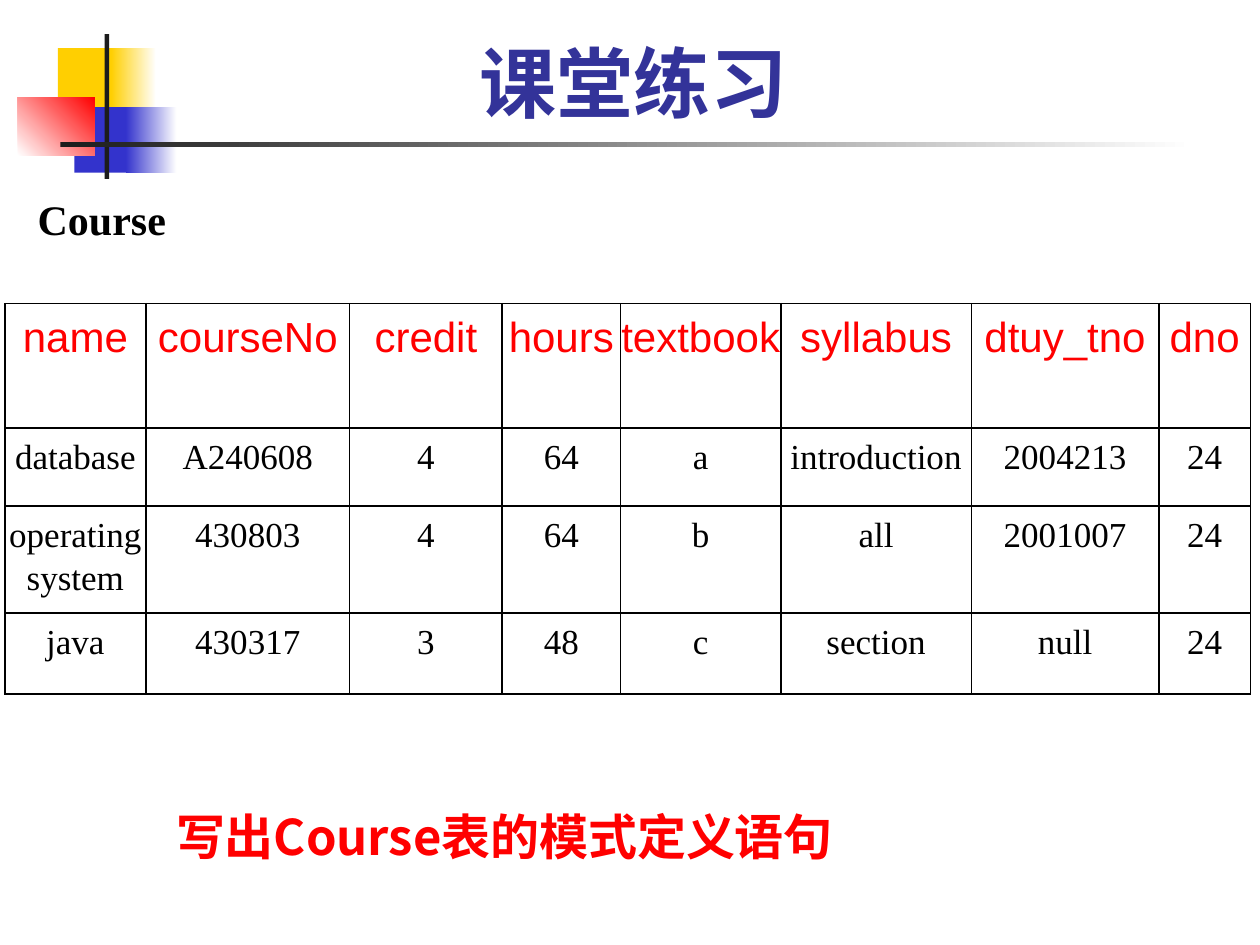
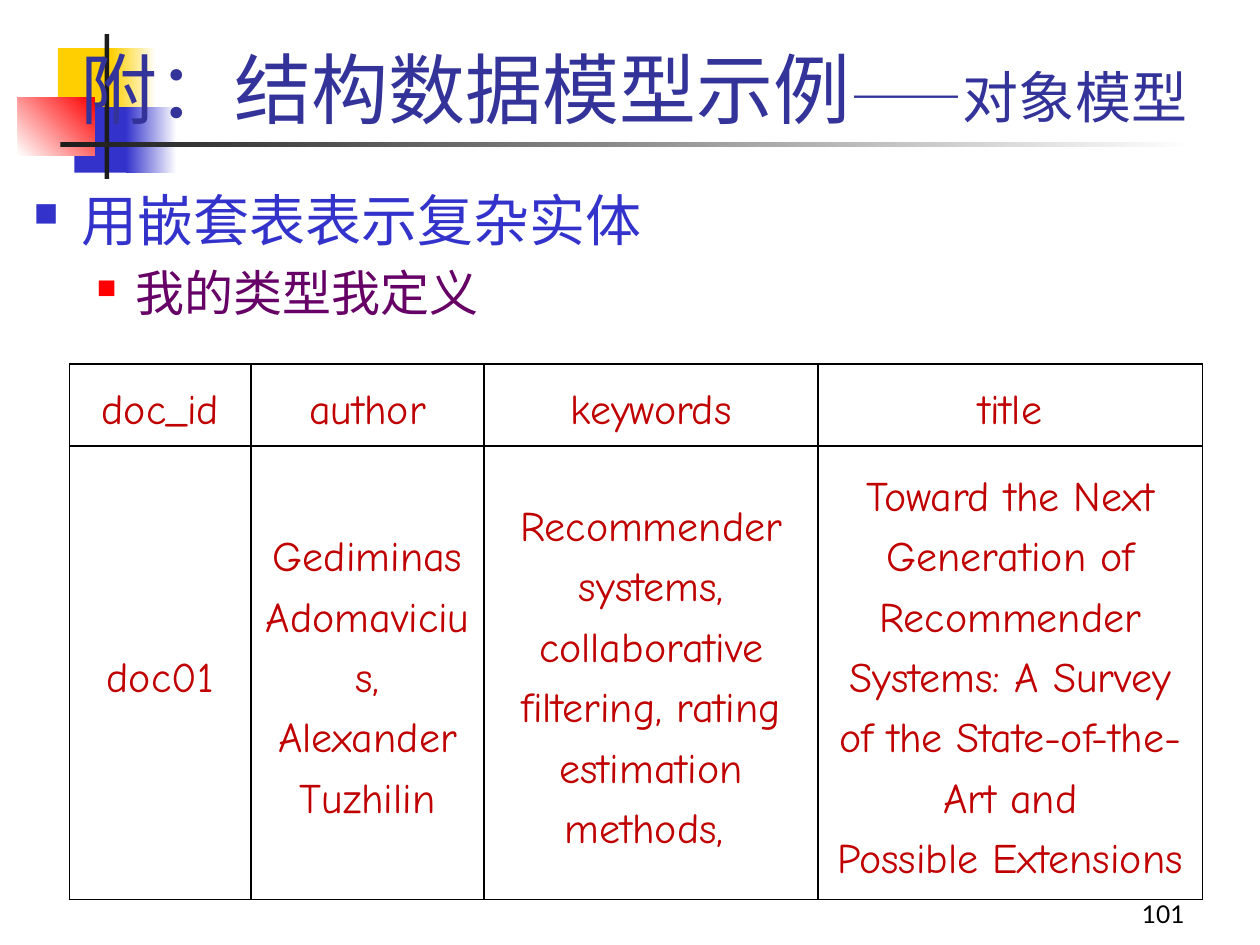
from lxml import etree
from pptx import Presentation
from pptx import util as u
from pptx.dml import color
from pptx.enum import shapes, text
from pptx.oxml import ns

INK, BLUE, RED, GOLD, WHITE = "1C1C1C", "3333CC", "FF0000", "FFCF01", "FFFFFF"
NAVY, PLUM, BRICK, BLACK = "333399", "660066", "C00000", "000000"
HAN, LATO, TIMES = "Noto Sans CJK SC", "Lato", "Times New Roman"
LEFT, MID, RIGHT = text.PP_ALIGN.LEFT, text.PP_ALIGN.CENTER, text.PP_ALIGN.RIGHT
JUST = text.PP_ALIGN.JUSTIFY
TOP, HALF, LOW = (text.MSO_ANCHOR.TOP, text.MSO_ANCHOR.MIDDLE,
                  text.MSO_ANCHOR.BOTTOM)


def rgb(code):
    return color.RGBColor.from_string(code)


def box(*nums):
    return [u.Cm(n) for n in nums]


def apply(item, form):
    for key, value in form.items():
        setattr(item, key, value)


def face(name, size, tint, **more):
    return dict(name=name, size=u.Pt(size), tint=tint, **more)


def node(root, tag, **attrs):
    return etree.SubElement(root, ns.qn(tag), attrs)


class Deck:
    def __init__(self):
        self.prs = Presentation()
        self.prs.slide_width, self.prs.slide_height = box(25.4, 19.05)
        self.slide = None

    def page(self, runs, anchor):
        layout = self.prs.slide_layouts[5]
        self.slide = self.prs.slides.add_slide(layout)
        title = self.slide.shapes.title
        left, top, width, height = box(0.99, 0.46, 23.57, 2.36)
        apply(title, dict(left=left, top=top, width=width, height=height))
        title.text_frame.vertical_anchor = anchor
        self.put(title.text_frame.paragraphs[0], runs, MID)

    def put(self, para, runs, align, **form):
        apply(para, dict(alignment=align, **form))
        for words, look in runs:
            run = para.add_run()
            run.text = words
            look = dict(look)
            run.font.color.rgb = rgb(look.pop("tint"))
            apply(run.font, look)
            node(run._r.get_or_add_rPr(), "a:ea", typeface=HAN)

    def note(self, spot, words, look, anchor=TOP, align=LEFT):
        frame = self.frame(spot, anchor)
        self.put(frame.paragraphs[0], [(words, look)], align)

    def frame(self, spot, anchor=TOP):
        frame = self.slide.shapes.add_textbox(*box(*spot)).text_frame
        apply(frame, dict(word_wrap=True, vertical_anchor=anchor))
        return frame

    def points(self, spot, items):
        frame = self.frame(spot)
        for n, (words, look, dot, scale, edge, hang) in enumerate(items):
            para = frame.add_paragraph() if n else frame.paragraphs[0]
            para.level = n
            props = para._p.get_or_add_pPr()
            props.set("marL", str(u.Cm(edge)))
            props.set("indent", str(-u.Cm(hang)))
            node(node(props, "a:buClr"), "a:srgbClr", val=dot)
            node(props, "a:buSzPct", val=str(scale * 1000))
            node(props, "a:buChar", char="■")
            gap = look["size"] // 5 if n else 0
            self.put(para, [(words, look)], JUST, space_before=u.Emu(gap))

    def block(self, spot, start, end=None, angle=0):
        shape = self.slide.shapes.add_shape(
            shapes.MSO_SHAPE.RECTANGLE, *box(*spot))
        shape.shadow.inherit = False
        shape.line.fill.background()
        if end is None:
            shape.fill.solid()
            shape.fill.fore_color.rgb = rgb(start)
        else:
            shape.fill.gradient()
            shape.fill.gradient_angle = angle
            for stop, tint in zip(shape.fill.gradient_stops, (start, end)):
                stop.color.rgb = rgb(tint)
        return shape

    def emblem(self):
        marks = [
            ((1.17, 0.97, 1.22, 1.32), GOLD),
            ((2.24, 0.97, 0.91, 1.32), GOLD, WHITE),
            ((1.5, 2.16, 1.17, 1.32), BLUE),
            ((2.54, 2.16, 1.02, 1.32), BLUE, WHITE),
            ((0.36, 1.96, 1.55, 1.17), WHITE, RED, 45),
            ((2.11, 0.69, 0.09, 2.92), INK),
            ((1.22, 2.87, 22.86, 0.1), INK, WHITE),
        ]
        tree = self.prs.slide_master.shapes.element
        for n, mark in enumerate(marks):
            item = self.block(*mark).element
            item.nvSpPr.cNvPr.set("id", str(100 + n))
            tree.append(item)

    def table(self, spot, cols, rows, data, looks, form, space, fill=None):
        size = sum(cols), sum(rows)
        grid = self.slide.shapes.add_table(
            len(rows), len(cols), *box(*spot, *size)).table
        apply(grid, dict(first_row=False, horz_banding=False))
        for col, width in zip(grid.columns, cols):
            col.width = u.Cm(width)
        for row, height, words, look in zip(grid.rows, rows, data, looks):
            row.height = u.Cm(height)
            for cell, entry in zip(row.cells, words):
                self.cell(cell, entry, look, form, space, fill)

    def cell(self, cell, entry, look, form, space, fill):
        apply(cell, form)
        for n, words in enumerate(entry.split("\n")):
            frame = cell.text_frame
            para = frame.add_paragraph() if n else frame.paragraphs[0]
            self.put(para, [(words, look)], MID, line_spacing=space)
        props = cell._tc.get_or_add_tcPr()
        for side in "LRTB":
            line = node(props, "a:ln" + side, w=str(u.Pt(1)))
            node(node(line, "a:solidFill"), "a:srgbClr", val=BLACK)
        if fill:
            cell.fill.solid()
            cell.fill.fore_color.rgb = rgb(fill)
        else:
            cell.fill.background()


def course(deck):
    deck.page([("课堂练习", face(HAN, 44, NAVY, bold=True))], HALF)
    deck.emblem()
    deck.note((0.51, 3.78, 4.65, 1.27), "Course",
              face(TIMES, 24, BLACK, bold=True), HALF)
    data = [
        ["name", "courseNo", "credit", "hours", "textbook", "syllabus",
         "dtuy_tno", "dno"],
        ["database", "A240608", "4", "64", "a", "introduction",
         "2004213", "24"],
        ["operating system", "430803", "4", "64", "b", "all",
         "2001007", "24"],
        ["java", "430317", "3", "48", "c", "section", "null", "24"],
    ]
    deck.table((0.1, 6.12), [2.84, 4.11, 3.07, 2.39, 3.23, 3.84, 3.78, 1.85],
               [2.51, 1.57, 2.16, 1.63], data,
               [face("Arial", 24, RED)] + [face(TIMES, 20, BLACK)] * 3,
               dict(margin_left=0, margin_right=0), 1.1)
    deck.note((3.3, 16.13, 17.02, 1.45), "写出Course表的模式定义语句",
              face(HAN, 28, RED, bold=True))


def nested(deck):
    deck.page([("附：结构数据模型示例", face(LATO, 44, NAVY)),
               ("——对象", face(TIMES, 32, NAVY)),
               ("模型", face(LATO, 32, NAVY))], LOW)
    deck.points((0.43, 3.61, 24.46, 15.04), [
        ("用嵌套表表示复杂实体", face(LATO, 32, BLUE), BLUE, 60, 0.97, 0.97),
        ("我的类型我定义", face(LATO, 28, PLUM), RED, 55, 2.06, 0.79),
    ])
    deck.note((18.85, 17.58, 5.28, 1.27), "101", face(LATO, 14, BLACK),
              LOW, RIGHT)
    data = [
        ["doc_id", "author", "keywords", "title"],
        ["doc01", "Gediminas Adomavicius, Alexander Tuzhilin",
         "Recommender systems, collaborative filtering, "
         "rating estimation methods, ",
         "Toward the Next Generation of Recommender\n"
         "Systems: A Survey of the State-of-the-Art and\n"
         "Possible Extensions"],
    ]
    deck.table((1.4, 7.34), [3.66, 4.7, 6.73, 7.75], [1.65, 7.29], data,
               [face("Comic Neue", 24, BRICK)] * 2,
               dict(vertical_anchor=HALF), 1.25, WHITE)


def main():
    deck = Deck()
    course(deck)
    nested(deck)
    deck.prs.save("out.pptx")


if __name__ == "__main__":
    main()
